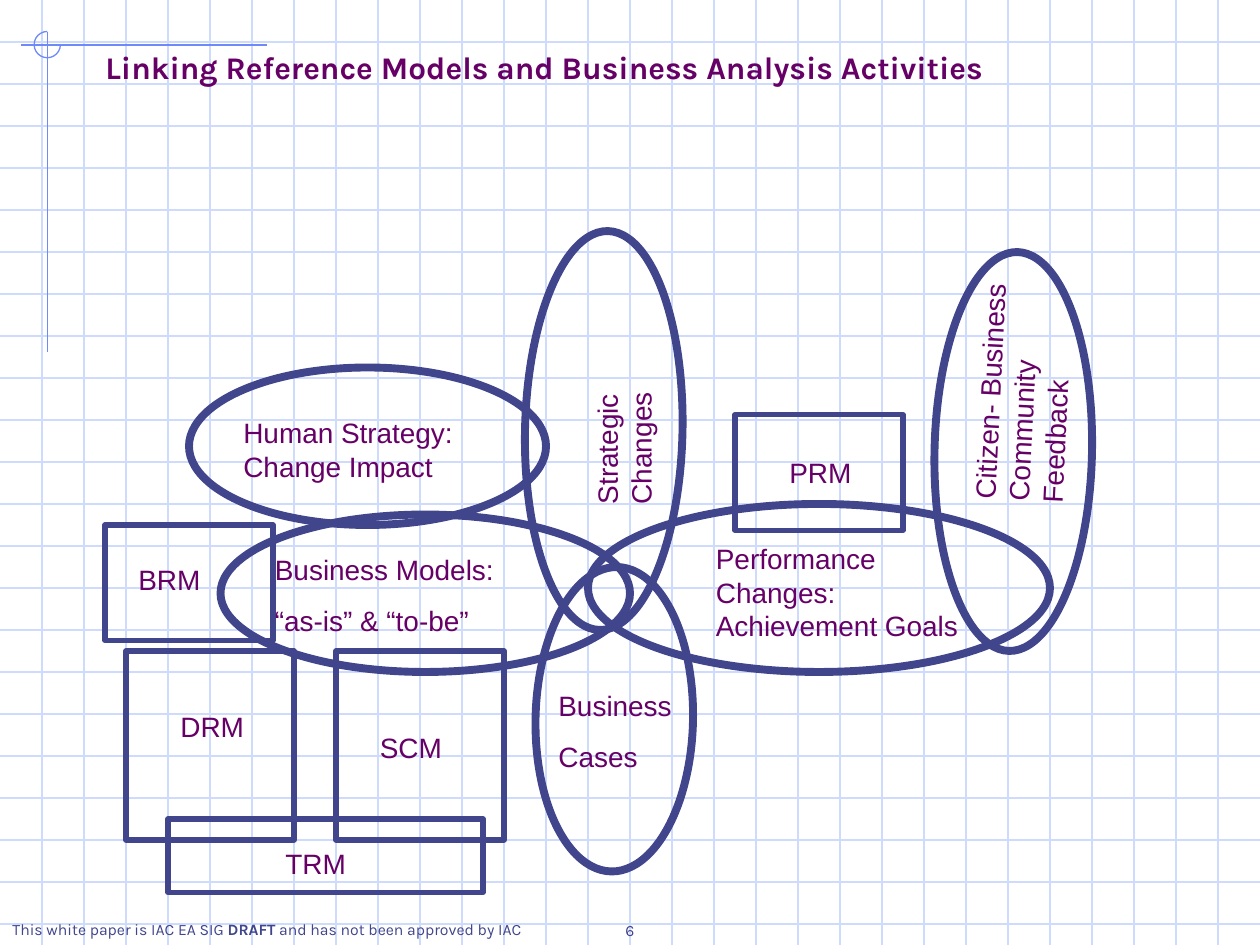
"""Build the slide that links reference models to business analysis activities."""
from pptx import Presentation
from pptx.dml.color import RGBColor
from pptx.enum.shapes import MSO_CONNECTOR, MSO_SHAPE
from pptx.enum.text import MSO_ANCHOR, PP_ALIGN
from pptx.oxml.ns import qn
from pptx.util import Inches, Pt
from lxml import etree

LINE = MSO_CONNECTOR.STRAIGHT
OVAL, RECT, ARC = MSO_SHAPE.OVAL, MSO_SHAPE.RECTANGLE, MSO_SHAPE.ARC
TOP, BOTTOM = MSO_ANCHOR.TOP, MSO_ANCHOR.BOTTOM
LEFT, CENTER = PP_ALIGN.LEFT, PP_ALIGN.CENTER

WIDE, HIGH = 10, 7.5
COLS, ROWS = 120, 90
CELL = 4
HUES = {"grid": "CFDBFD", "mark": "6F89F7", "edge": "40458C", "text": "660066"}

OVALS = [
    (21, 49, 39, 15, 0),
    (56, 48, 44, 16, 0),
    (38.5, 33.5, 38, 15, 91.2),
    (18, 35, 34, 15, 0),
    (77.5, 35.5, 38, 15, 91.2),
    (44, 61, 29, 15, 91.2),
]
RECTS = [
    (12, 62, 16, 18),
    (16, 78, 30, 7),
    (32, 62, 16, 18),
    (10, 50, 16, 11),
    (70, 39.5, 16, 11),
]
LABELS = [
    (["Strategic Changes"], (45.7, 34.9, 24.2, 4.4), 270),
    (["Business Models:", "“as-is” & “to-be”"], (25, 52, 27, 9.2), 0),
    (["Performance Changes: Achievement Goals"], (67, 51, 26, 10.8), 0),
    (["Human Strategy: Change Impact"], (22, 39, 25, 7.7), 0),
    (["Citizen- Business Community Feedback"], (85, 31, 25, 10.8), 272.8),
    (["DRM"], (16, 67, 10, 4.4), 0),
    (["SCM"], (35, 69, 12, 4.4), 0),
    (["TRM"], (26, 80, 8.2, 4.4), 0),
    (["Business", "Cases"], (52, 65, 16, 9.2), 0),
    (["BRM"], (12, 53, 10, 4.4), 0),
    (["PRM"], (74, 42.8, 10, 4.4), 0),
]
NOTE = [
    ("This white paper is IAC EA SIG", False),
    (" DRAFT", True),
    (" and has not been approved by IAC", False),
]


def hue(name):
    return RGBColor.from_string(HUES[name])


def place(*spots):
    return [Inches(spot * WIDE / COLS) for spot in spots]


def add_line(slide, ends, color):
    line = slide.shapes.add_connector(LINE, *place(*ends))
    line.line.color.rgb = hue(color)
    line.line.width = Pt(0.75)
    etree.SubElement(line._element.spPr, qn("a:effectLst"))


def add_ring(slide, kind, area, color, width, turn=0):
    ring = slide.shapes.add_shape(kind, *place(*area))
    ring.rotation = turn
    ring.shadow.inherit = False
    ring.fill.background()
    ring.line.color.rgb = hue(color)
    ring.line.width = Pt(width)
    return ring


def add_run(para, text, face, size, color, bold=False):
    run = para.add_run()
    run.text = text
    font = run.font
    font.name, font.size, font.bold = face, Pt(size), bold
    font.color.rgb = hue(color)


def add_box(slide, area, anchor=TOP, turn=0):
    box = slide.shapes.add_textbox(*place(*area))
    box.rotation = turn
    frame = box.text_frame
    frame.word_wrap = True
    frame.vertical_anchor = anchor
    return frame


def add_label(slide, lines, area, turn):
    frame = add_box(slide, area, turn=turn)
    for row, text in enumerate(lines):
        para = frame.add_paragraph() if row else frame.paragraphs[0]
        if row:
            para.space_before = Pt(10)
        add_run(para, text, "Arial", 16, "text")


def add_grid(slide):
    for row in range(CELL, ROWS, CELL):
        add_line(slide, (0, row, COLS, row), "grid")
    for col in range(CELL, COLS, CELL):
        add_line(slide, (col, 0, col, ROWS), "grid")


def add_mark(slide):
    add_line(slide, (25.4, 4.3, 2, 4.3), "mark")
    add_line(slide, (4.5, 3, 4.5, 33.5), "mark")
    arc = add_ring(slide, ARC, (3.25, 3, 2.5, 2.5), "mark", 0.75)
    arc.adjustments[0] = 0
    arc.adjustments[1] = 162


def add_title(slide, text):
    title = slide.shapes.title
    title.left, title.top, title.width, title.height = place(8, 4, 105, 10)
    frame = title.text_frame
    frame.vertical_anchor = TOP
    frame.margin_left = Inches(0.17)
    para = frame.paragraphs[0]
    para.alignment = LEFT
    add_run(para, text, "Karla", 18, "text", True)
    slide.shapes._spTree.append(title._element)


def add_foot(slide):
    para = add_box(slide, (0, 87, 52, 4.8)).paragraphs[0]
    for text, bold in NOTE:
        add_run(para, text, "Karla", 9, "edge", bold)
    para = add_box(slide, (53.5, 84.1, 13, 6), BOTTOM).paragraphs[0]
    para.alignment = CENTER
    add_run(para, "6", "Karla", 9, "edge")


def main():
    deck = Presentation()
    deck.slide_width, deck.slide_height = Inches(WIDE), Inches(HIGH)
    slide = deck.slides.add_slide(deck.slide_layouts[5])
    add_grid(slide)
    add_mark(slide)
    add_title(slide, "Linking Reference Models and Business Analysis Activities")
    for *area, turn in OVALS:
        add_ring(slide, OVAL, area, "edge", 4.5, turn)
    for area in RECTS:
        add_ring(slide, RECT, area, "edge", 3)
    for lines, area, turn in LABELS:
        add_label(slide, lines, area, turn)
    add_foot(slide)
    deck.save("out.pptx")


if __name__ == "__main__":
    main()
